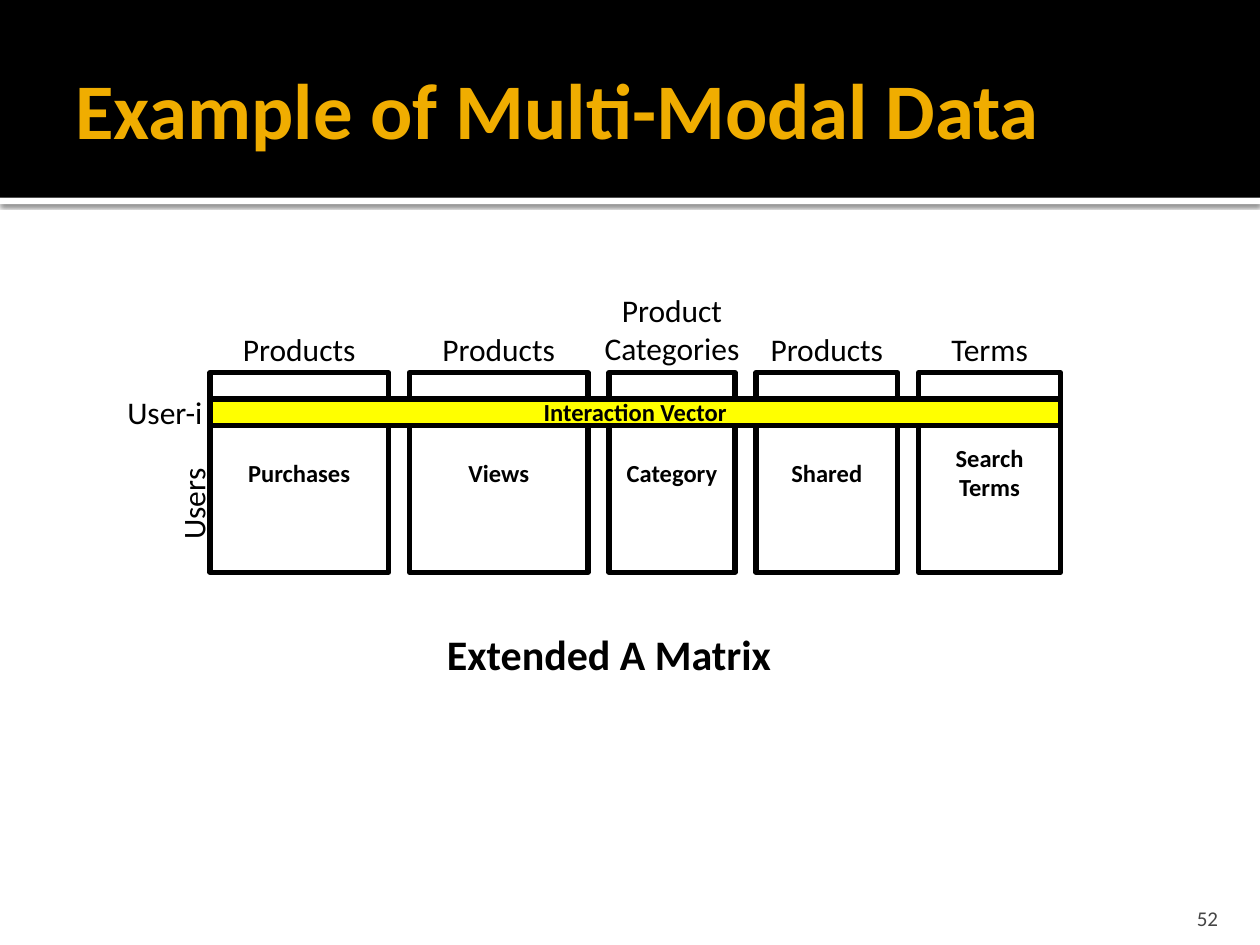
from lxml.etree import SubElement
from pptx import Presentation
from pptx.dml.color import RGBColor
from pptx.enum.shapes import MSO_SHAPE
from pptx.enum.text import MSO_ANCHOR, PP_ALIGN
from pptx.oxml.ns import qn
from pptx.util import Inches, Pt

COLS, ROWS = 120, 90
CELL = Inches(10) // COLS
BLACK, WHITE, GOLD, YELLOW, GREY = "000000", "FFFFFF", "F0AD00", "FFFF00", "454545"
MID, LOW = MSO_ANCHOR.MIDDLE, MSO_ANCHOR.BOTTOM
CENTER, LEFT, RIGHT = PP_ALIGN.CENTER, PP_ALIGN.LEFT, PP_ALIGN.RIGHT


def tint(code):
    return RGBColor.from_string(code)


class Deck:
    """Style and current slide; all lengths are grid cells."""
    font = "Calibri"
    edge = 3

    def __init__(self):
        self.prs = Presentation()
        self.prs.slide_width = COLS * CELL
        self.prs.slide_height = ROWS * CELL
        self.slide = self.prs.slides.add_slide(self.prs.slide_layouts[5])
        self.shapes = self.slide.shapes

    def area(self, *cells):
        return [round(n * CELL) for n in cells]

    def letter(self, shape, text, size, color=BLACK, bold=False,
               align=CENTER, anchor=MID):
        """Set the text of a shape and format it."""
        frame = shape.text_frame
        frame.text = text
        frame.vertical_anchor = anchor
        for para in frame.paragraphs:
            para.alignment = align
            for run in para.runs:
                font = run.font
                font.name, font.size, font.bold = self.font, Pt(size), bold
                font.color.rgb = tint(color)

    def bar(self, x, y, w, h, fill):
        shape = self.shapes.add_shape(MSO_SHAPE.RECTANGLE, *self.area(x, y, w, h))
        shape.shadow.inherit = False
        shape.fill.solid()
        shape.fill.fore_color.rgb = tint(fill)
        shape.line.fill.background()
        return shape

    def box(self, x, y, w, h, text, fill=WHITE):
        shape = self.bar(x, y, w, h, fill)
        shape.line.color.rgb = tint(BLACK)
        shape.line.width = Pt(self.edge)
        self.letter(shape, text, 14, bold=True)

    def label(self, x, y, w, h, text, size=18, turn=0, **style):
        shape = self.shapes.add_textbox(*self.area(x, y, w, h))
        shape.text_frame.word_wrap = False
        shape.rotation = turn
        self.letter(shape, text, size, **style)
        return shape

    def title(self, x, y, w, h, text):
        shape = self.shapes.title
        shape.left, shape.top, shape.width, shape.height = self.area(x, y, w, h)
        self.shapes.element.append(shape.element)  # in front of the band
        shape.text_frame.margin_right = Inches(0.05)
        self.letter(shape, text, 45, GOLD, True, LEFT)

    def shade(self, shape):
        """Drop a soft shadow straight down."""
        effects = shape.element.spPr.find(qn("a:effectLst"))
        glow = SubElement(effects, qn("a:outerShdw"), blurRad=str(Pt(2.5)),
                          dist=str(Pt(0.8)), dir="5400000",
                          algn="t", rotWithShape="0")
        color = SubElement(glow, qn("a:srgbClr"), val=BLACK)
        SubElement(color, qn("a:alpha"), val="60000")


def main():
    deck = Deck()
    deck.shade(deck.bar(0, 18.84, COLS, 0.6, WHITE))
    deck.bar(0, 0, COLS, 18.84, BLACK)
    deck.title(6, 2, 108, 16.5, "Example of Multi-Modal Data")
    page = deck.label(107.6, 85, 9.6, 3.6, "52", 12, color=GREY, align=RIGHT, anchor=LOW)
    page.text_frame.margin_bottom = 0

    # box text, box width, heading, heading width
    blocks = [
        ("Purchases", 17, "Products", 13.5),
        ("Views", 17, "Products", 13.5),
        ("Category", 12, "Product\nCategories", 16),
        ("Shared", 13.5, "Products", 13.5),
        ("Search\nTerms", 13.5, "Terms", 10.2),
    ]
    start, top, tall, gap = 20, 35.5, 19, 2
    x = start
    for text, wide, head, span in blocks:
        deck.box(x, top, wide, tall, text)
        high = 8.5 if "\n" in head else 4.8
        deck.label(x + (wide - span) / 2, top + 0.1 - high, span, high, head)
        x += wide + gap
    deck.box(start, 38, x - gap - start, 2.5, "Interaction Vector", YELLOW)

    deck.label(13.6, 45.6, 9.5, 4.8, "Users", turn=270)
    deck.label(10.7, 36.8, 10, 4.8, "User-i")
    deck.label(40.5, 59.3, 35, 6, "Extended A Matrix", 24, bold=True)
    deck.prs.save("out.pptx")


if __name__ == "__main__":
    main()
